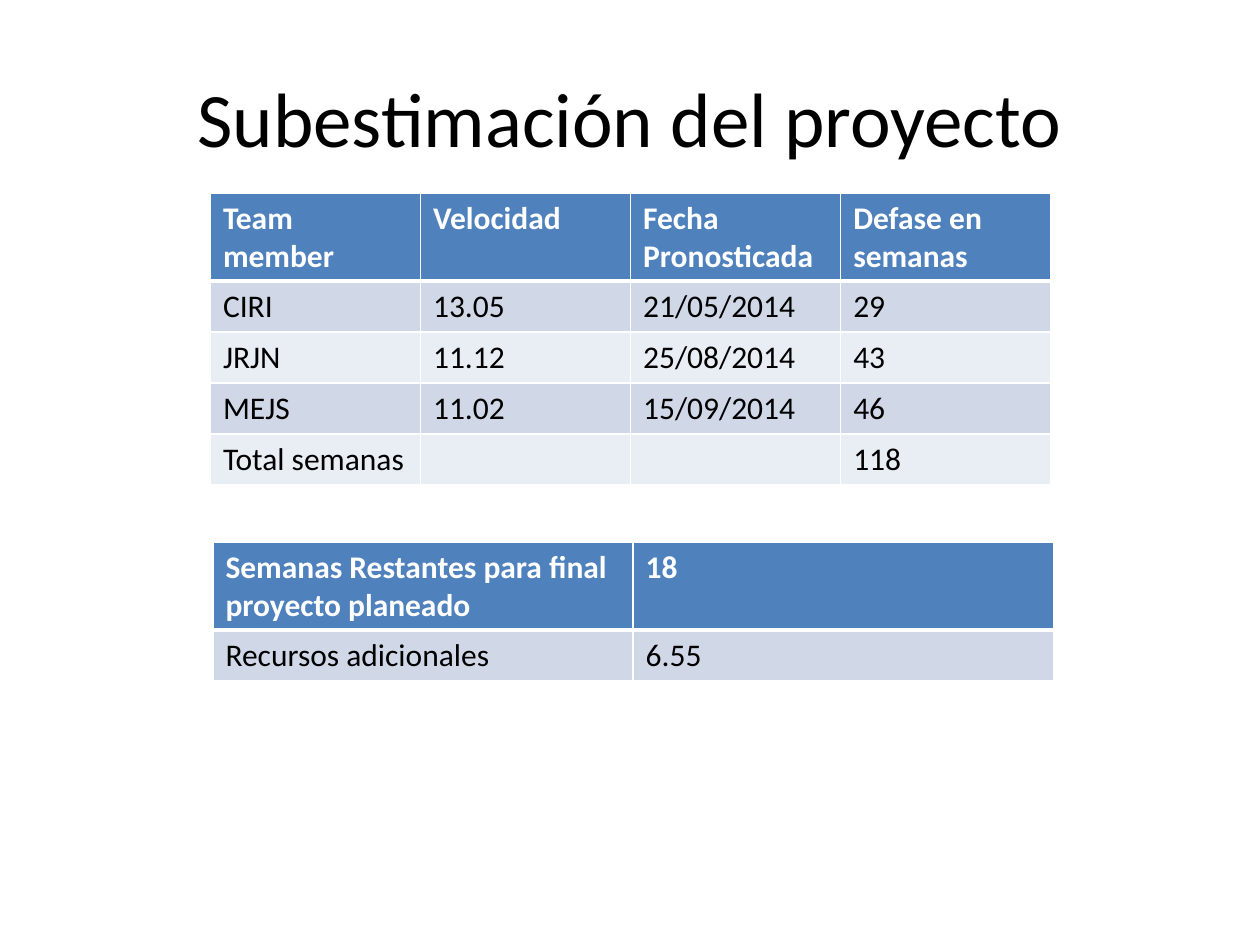
from dataclasses import dataclass

from pptx import Presentation
from pptx import util as u
from pptx.dml.color import RGBColor
from pptx.enum import text
from pptx.oxml import ns
from lxml import etree


@dataclass(frozen=True)
class Theme:
    font: str = "Calibri"
    title_size: int = 44
    table_size: int = 18
    ink: str = "000000"
    white: str = "FFFFFF"
    header: str = "4F81BD"
    bands: tuple = ("D0D8E8", "E9EDF4")
    thin: int = 1
    thick: int = 3


THEME = Theme()
HEADER_HEIGHT, ROW_HEIGHT = 0.7, 0.405
TABLE_WIDTH = 6.67

TEAM_ROWS = [
    ("Team member", "Velocidad", "Fecha Pronosticada", "Defase en semanas"),
    ("CIRI", "13.05", "21/05/2014", "29"),
    ("JRJN", "11.12", "25/08/2014", "43"),
    ("MEJS", "11.02", "15/09/2014", "46"),
    ("Total semanas", "", "", "118"),
]
RESOURCE_ROWS = [
    ("Semanas Restantes para final proyecto planeado", "18"),
    ("Recursos adicionales", "6.55"),
]


def style_font(font, size, color, bold=False):
    values = {"name": THEME.font, "size": u.Pt(size), "bold": bold}
    for name, value in values.items():
        setattr(font, name, value)
    font.color.rgb = RGBColor.from_string(color)


def add_title(slide, words):
    sp = slide.shapes.add_textbox(
        u.Inches(0.5), u.Inches(0.3), u.Inches(9), u.Inches(1.25))
    tf = sp.text_frame
    tf.word_wrap = True
    tf.vertical_anchor = text.MSO_ANCHOR.MIDDLE
    p = tf.paragraphs[0]
    p.alignment = text.PP_ALIGN.CENTER
    r = p.add_run()
    r.text = words
    style_font(r.font, THEME.title_size, THEME.ink)


def set_borders(cell, widths):
    """Draw white edges; widths maps each side (L, R, T, B) to points."""
    tc_pr = cell._tc.get_or_add_tcPr()
    for side, width in widths.items():
        ln = etree.SubElement(tc_pr, ns.qn(f"a:ln{side}"), w=str(u.Pt(width)))
        fill = etree.SubElement(ln, ns.qn("a:solidFill"))
        etree.SubElement(fill, ns.qn("a:srgbClr"), val=THEME.white)


def style_cell(cell, row, words):
    is_header = row == 0
    widths = dict.fromkeys("LRTB", THEME.thin)
    # The heavy rule is shared by the header and the first body row
    if is_header:
        widths["B"] = THEME.thick
    elif row == 1:
        widths["T"] = THEME.thick
    set_borders(cell, widths)

    color = THEME.header if is_header else THEME.bands[(row - 1) % 2]
    cell.fill.solid()
    cell.fill.fore_color.rgb = RGBColor.from_string(color)
    p = cell.text_frame.paragraphs[0]
    ink = THEME.white if is_header else THEME.ink
    if words:
        r = p.add_run()
        r.text = words
        style_font(r.font, THEME.table_size, ink, is_header)
    else:
        style_font(p.font, THEME.table_size, ink)


def add_banded_table(slide, left, top, rows):
    n_cols = len(rows[0])
    height = HEADER_HEIGHT + ROW_HEIGHT * (len(rows) - 1)
    table = slide.shapes.add_table(
        len(rows), n_cols, u.Inches(left), u.Inches(top),
        u.Inches(TABLE_WIDTH), u.Inches(height)).table
    for column in table.columns:
        column.width = u.Inches(TABLE_WIDTH / n_cols)
    for i, values in enumerate(rows):
        table.rows[i].height = u.Inches(ROW_HEIGHT if i else HEADER_HEIGHT)
        for j, words in enumerate(values):
            style_cell(table.cell(i, j), i, words)


def main():
    prs = Presentation()
    prs.slide_width, prs.slide_height = u.Inches(10), u.Inches(7.5)
    slide = prs.slides.add_slide(prs.slide_layouts[6])

    # Heading
    add_title(slide, "Subestimación del proyecto")
    # Delay per team member
    add_banded_table(slide, 1.67, 1.53, TEAM_ROWS)
    # Remaining weeks and extra resources
    add_banded_table(slide, 1.69, 4.3, RESOURCE_ROWS)

    prs.save("out.pptx")


if __name__ == "__main__":
    main()
